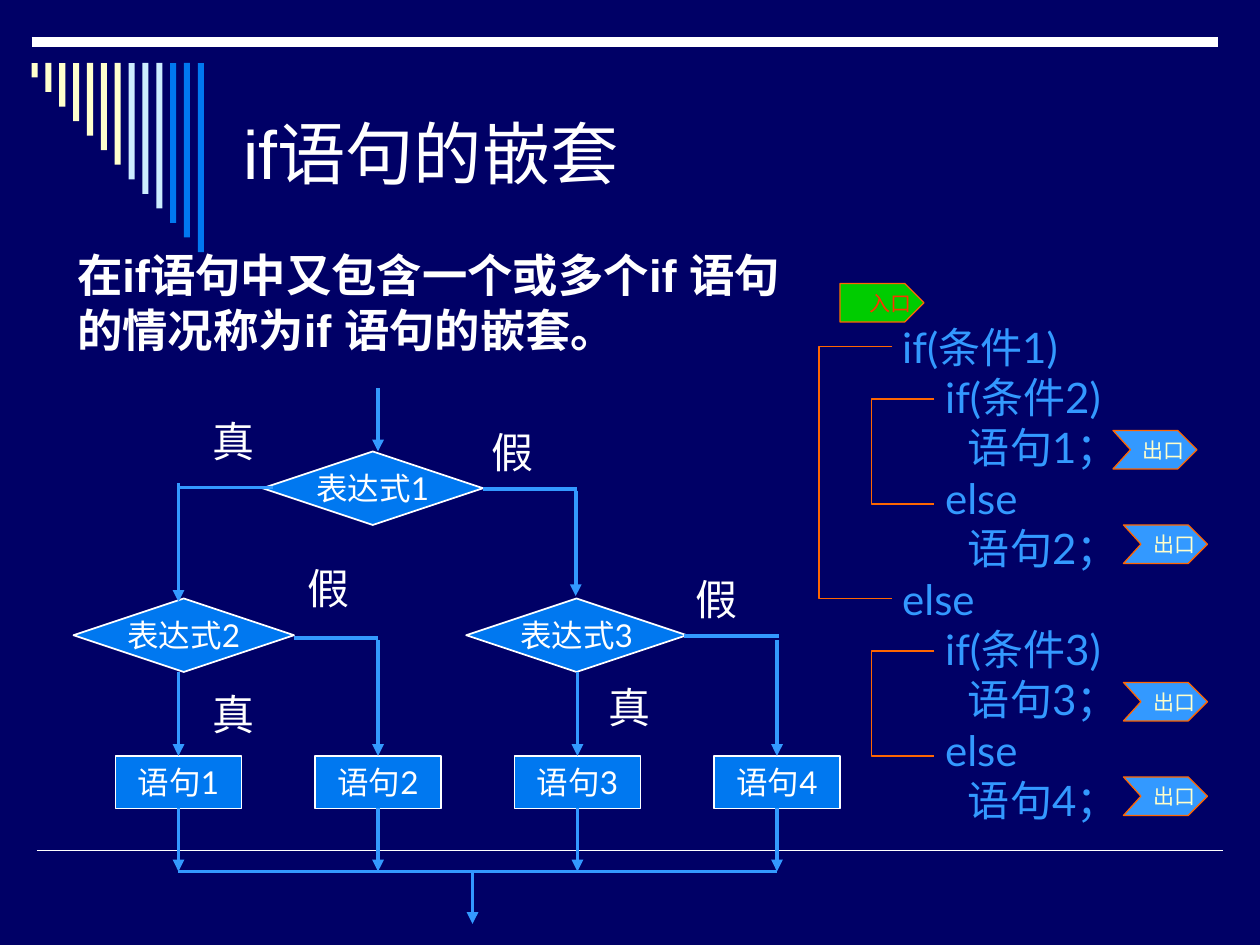
import dataclasses
import typing

import pptx
import pptx.dml.color
import pptx.enum.shapes
import pptx.enum.text
import pptx.oxml
import pptx.oxml.ns
import pptx.util

Pt = pptx.util.Pt
SHAPES = pptx.enum.shapes.MSO_SHAPE
ANCHOR = pptx.enum.text.MSO_ANCHOR
ALIGN = pptx.enum.text.PP_ALIGN
Point = tuple[float, float]


@dataclasses.dataclass(frozen=True)
class Theme:
    background: str = "000066"
    white: str = "FFFFFF"
    cream: str = "FFFFCC"
    pale: str = "CCECFF"
    node: str = "0078F0"
    flow: str = "3399FF"
    outline: str = "FF6600"
    entry: str = "00CC00"
    entry_text: str = "FF3300"
    title_size: float = 39
    body_size: float = 25.9
    code_size: float = 24
    node_size: float = 18
    tag_size: float = 12
    heading_font: str = "Arial"
    diagram_font: str = "Lato"
    tag_font: str = "Times New Roman"


THEME = Theme()


@dataclasses.dataclass(frozen=True)
class Style:
    size: float
    color: str
    font: str
    bold: bool = False


class Box(typing.NamedTuple):
    left: float
    top: float
    width: float
    height: float


class Node(typing.NamedTuple):
    text: str
    box: Box
    kind: typing.Any


class Flow(typing.NamedTuple):
    start: Point
    end: Point
    arrow: bool = True


class Tag(typing.NamedTuple):
    text: str
    left: float
    top: float
    notch: float
    fill: str
    color: str


class Bracket(typing.NamedTuple):
    left: float
    right: float
    top: float
    bottom: float


TITLE_STYLE = Style(THEME.title_size, THEME.white, THEME.heading_font)
BODY_STYLE = Style(THEME.body_size, THEME.white, THEME.heading_font, True)
CODE_STYLE = Style(THEME.code_size, THEME.flow, THEME.diagram_font)
LABEL_STYLE = Style(THEME.code_size, THEME.white, THEME.diagram_font)
NODE_STYLE = Style(THEME.node_size, THEME.white, THEME.diagram_font)

BAR_COLORS = [THEME.cream] * 7 + [THEME.pale] * 3 + [THEME.node] * 3
COLUMNS = [102 + 114 * index for index in range(4)]
DECISIONS = [("表达式1", 150, 258), ("表达式2", 42, 342), ("表达式3", 266.4, 342)]
NODES = [Node(f"语句{number}", Box(column - 36, 432, 72, 30), SHAPES.FLOWCHART_PROCESS)
         for number, column in enumerate(COLUMNS, 1)]
NODES += [Node(text, Box(left, top, 126, 42), SHAPES.FLOWCHART_DECISION)
          for text, left, top in DECISIONS]
FLOWS = [Flow((column, 462), (column, 498)) for column in COLUMNS]
FLOWS += [Flow((column, top), (column, 432))
          for column, top in zip(COLUMNS, (384, 366, 384, 366))]
FLOWS += [
    Flow((444, 498), (102, 498), False),
    Flow((270, 498), (270, 528)),
    Flow((445, 363.4), (391, 363.4), False),
    Flow((216, 364.8), (168, 364.8), False),
    Flow((329, 280.8), (329, 340.6)),
    Flow((330, 279.5), (276, 279.5), False),
    Flow((102, 276), (102, 344)),
    Flow((156, 278.6), (102, 278.6), False),
    Flow((216, 222), (216, 258)),
]
LABELS = [("真", 114.5, 234), ("假", 273.6, 240), ("假", 168.5, 318),
          ("真", 114.5, 390), ("假", 390.2, 324), ("真", 340.6, 386)]
CODE = ["if(条件1)", "    if(条件2)", "       语句1；", "    else", "       语句2；",
        "else", "    if(条件3)", "       语句3；", "    else", "       语句4；"]
TAGS = [Tag("入口", 480, 162, 0, THEME.entry, THEME.entry_text)]
TAGS += [Tag("出口", left, top, 10, THEME.flow, THEME.cream)
         for left, top in ((636, 246), (642, 300), (642, 390), (642, 444))]
BRACKETS = [Bracket(468, 510, 198, 342), Bracket(498, 534, 228, 288),
            Bracket(498, 534, 372, 432)]


def rgb(color: str) -> pptx.dml.color.RGBColor:
    return pptx.dml.color.RGBColor.from_string(color)


def write(shape: typing.Any, lines: list[str], style: Style, wrap: bool = True,
          align: typing.Any = ALIGN.LEFT, anchor: typing.Any = ANCHOR.TOP) -> None:
    frame = shape.text_frame
    frame.word_wrap = wrap
    frame.vertical_anchor = anchor
    for index, line in enumerate(lines):
        paragraph = frame.add_paragraph() if index else frame.paragraphs[0]
        paragraph.alignment = align
        run = paragraph.add_run()
        run.text = line
        run.font.size = Pt(style.size)
        run.font.name = style.font
        run.font.bold = style.bold
        run.font.color.rgb = rgb(style.color)


def add_text(slide: typing.Any, box: Box, lines: list[str], style: Style,
             wrap: bool = True, anchor: typing.Any = ANCHOR.TOP) -> None:
    shape = slide.shapes.add_textbox(*map(Pt, box))
    write(shape, lines, style, wrap, anchor=anchor)
    if not wrap:
        shape.text_frame.auto_size = pptx.enum.text.MSO_AUTO_SIZE.SHAPE_TO_FIT_TEXT


def paint(shape: typing.Any, fill: str | None, line: str | None, width: float = 1) -> None:
    shape.shadow.inherit = False
    if fill:
        shape.fill.solid()
        shape.fill.fore_color.rgb = rgb(fill)
    else:
        shape.fill.background()
    if line:
        shape.line.color.rgb = rgb(line)
        shape.line.width = Pt(width)
    else:
        shape.line.fill.background()


def add_line(slide: typing.Any, flow: Flow, color: str, width: float) -> None:
    connector = slide.shapes.add_connector(
        pptx.enum.shapes.MSO_CONNECTOR.STRAIGHT, *map(Pt, flow.start + flow.end))
    connector.line.color.rgb = rgb(color)
    connector.line.width = Pt(width)
    if flow.arrow:
        line = connector.line._get_or_add_ln()
        pptx.oxml.ns.qn("a:tailEnd")
        line.append(pptx.oxml.parse_xml(
            f'<a:tailEnd {pptx.oxml.ns.nsdecls("a")} type="triangle"/>'))
    connector._element.spPr.append(
        pptx.oxml.parse_xml(f'<a:effectLst {pptx.oxml.ns.nsdecls("a")}/>'))


def add_node(slide: typing.Any, node: Node) -> None:
    shape = slide.shapes.add_shape(node.kind, *map(Pt, node.box))
    paint(shape, THEME.node, THEME.white)
    write(shape, [node.text], NODE_STYLE, False, ALIGN.CENTER, ANCHOR.MIDDLE)


def add_outline(slide: typing.Any, points: list[Point], close: bool) -> typing.Any:
    vertices = [(Pt(x), Pt(y)) for x, y in points]
    builder = slide.shapes.build_freeform(*vertices[0])
    builder.add_line_segments(vertices[1:], close=close)
    return builder.convert_to_shape()


def add_tag(slide: typing.Any, tag: Tag) -> None:
    right, bottom, middle = tag.left + 48, tag.top + 22, tag.top + 11
    shoulder = right - 11
    points = [(tag.left, tag.top), (shoulder, tag.top), (right, middle),
              (shoulder, bottom), (tag.left, bottom), (tag.left + tag.notch, middle)]
    shape = add_outline(slide, points, True)
    paint(shape, tag.fill, THEME.outline, 0.75)
    style = Style(THEME.tag_size, tag.color, THEME.tag_font)
    write(shape, [tag.text], style, True, ALIGN.RIGHT, ANCHOR.MIDDLE)


def add_bracket(slide: typing.Any, bracket: Bracket) -> None:
    left, right, top, bottom = bracket
    shape = add_outline(slide, [(right, top), (left, top), (left, bottom), (right, bottom)], False)
    paint(shape, None, THEME.outline, 0.75)


def main() -> None:
    presentation = pptx.Presentation()
    presentation.slide_width, presentation.slide_height = Pt(720), Pt(540)
    slide = presentation.slides.add_slide(presentation.slide_layouts[6])
    slide.background.fill.solid()
    slide.background.fill.fore_color.rgb = rgb(THEME.background)

    add_line(slide, Flow((21, 486), (699, 486), False), THEME.white, 1)
    add_line(slide, Flow((18, 24), (696, 24), False), THEME.white, 6)
    for index, color in enumerate(BAR_COLORS):
        box = Box(18 + 7.92 * index, 36, 3.5, 8.31 * (index + 1))
        paint(slide.shapes.add_shape(SHAPES.RECTANGLE, *map(Pt, box)), color, None)

    add_text(slide, Box(132, 36, 552, 102), ["if语句的嵌套"], TITLE_STYLE, anchor=ANCHOR.MIDDLE)
    add_text(slide, Box(37, 138, 437, 72),
             ["在if语句中又包含一个或多个if 语句的情况称为if 语句的嵌套。"], BODY_STYLE)
    add_text(slide, Box(508.5, 180, 155, 324), CODE, CODE_STYLE, False)

    for node in NODES:
        add_node(slide, node)
    for flow in FLOWS:
        add_line(slide, flow, THEME.flow, 2.25)
    for text, left, top in LABELS:
        add_text(slide, Box(left, top, 38.4, 36), [text], LABEL_STYLE, False)
    for tag in TAGS:
        add_tag(slide, tag)
    for bracket in BRACKETS:
        add_bracket(slide, bracket)
    presentation.save("out.pptx")


if __name__ == "__main__":
    main()
